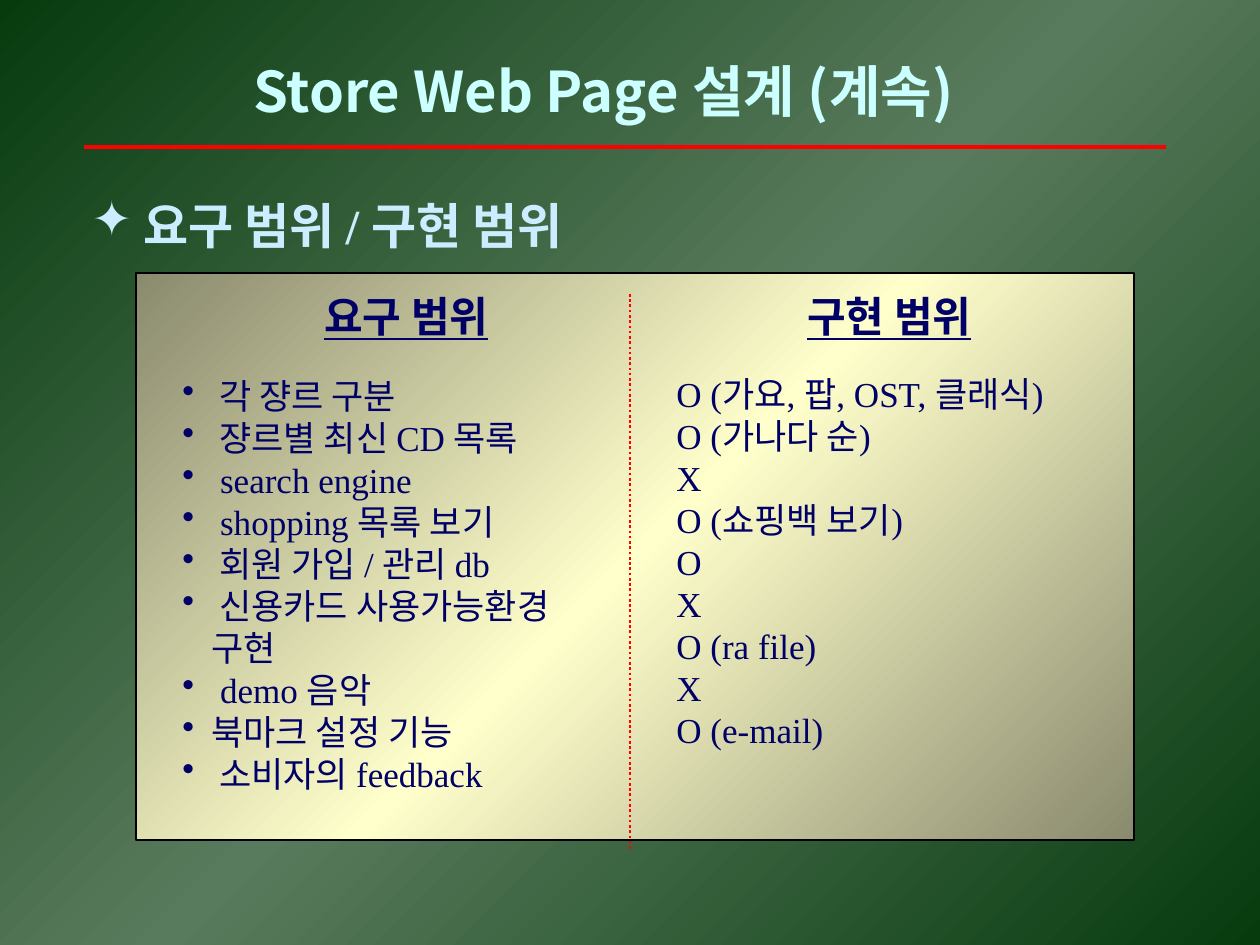
from copy import deepcopy

from lxml import etree
from pptx import Presentation
from pptx.dml.color import RGBColor
from pptx.enum.dml import MSO_LINE
from pptx.enum.shapes import MSO_CONNECTOR, MSO_SHAPE
from pptx.enum.text import MSO_ANCHOR
from pptx.oxml.ns import qn
from pptx.util import Inches, Pt

STRAIGHT = MSO_CONNECTOR.STRAIGHT
RECTANGLE = MSO_SHAPE.RECTANGLE
DOTTED = MSO_LINE.ROUND_DOT
TOP, MIDDLE = MSO_ANCHOR.TOP, MSO_ANCHOR.MIDDLE
PX = Inches(1) / 126

THEME = {
    "latin": "Times New Roman",
    "korean": "Noto Sans CJK KR",
    "background": ("073B0E", "597B5D", "073B0E"),
    "panel": ("8A8A6E", "FFFFCC", "8A8A6E"),
    "outline": "000000",
    "rule": "FF0000",
    "title": {"size": 32, "color": "CCFFFF", "bold": True, "name": "Noto Sans CJK KR"},
    "section": {"size": 28, "color": "CCECFF", "bold": True},
    "heading": {"size": 24, "color": "000066", "bold": True, "underline": True},
    "body": {"size": 20, "color": "000066"},
}


def fill_gradient(fill, element, colors):
    fill.gradient()
    fill.gradient_angle = 135
    stop_list = next(element.iter(qn("a:gsLst")))
    stop_list.insert(1, deepcopy(stop_list[0]))
    for stop, color, position in zip(fill.gradient_stops, colors, (0, 0.5, 1)):
        stop.color.rgb = RGBColor.from_string(color)
        stop.position = position


def add_text(box, lines, style, bullet=None, hanging=0, wrap=True, anchor=TOP, pitch=None):
    shape = slide.shapes.add_textbox(*(int(value * PX) for value in box))
    frame = shape.text_frame
    frame.word_wrap = wrap
    frame.vertical_anchor = anchor
    values = {"name": THEME["latin"], **THEME[style]}
    values["size"] = Pt(values["size"])
    color = values.pop("color")
    for index, line in enumerate(lines):
        paragraph = frame.paragraphs[0] if index == 0 else frame.add_paragraph()
        if pitch:
            paragraph.line_spacing = Pt(pitch)
        if bullet:
            properties = paragraph._p.get_or_add_pPr()
            properties.set("marL", str(int(hanging * PX)))
            properties.set("indent", str(-int(hanging * PX)))
            bullet_color = etree.SubElement(properties, qn("a:buClr"))
            etree.SubElement(bullet_color, qn("a:srgbClr"), val=color)
            etree.SubElement(properties, qn("a:buChar"), char=bullet)
        run = paragraph.add_run()
        run.text = line
        for name, value in values.items():
            setattr(run.font, name, value)
        run.font.color.rgb = RGBColor.from_string(color)
        etree.SubElement(run._r.get_or_add_rPr(), qn("a:ea"), typeface=THEME["korean"])


presentation = Presentation()
presentation.slide_width = int(1260 * PX)
presentation.slide_height = int(945 * PX)
slide = presentation.slides.add_slide(presentation.slide_layouts[6])
fill_gradient(slide.background.fill, slide.element, THEME["background"])

panel = slide.shapes.add_shape(RECTANGLE, *(int(value * PX) for value in (136, 273, 998, 567)))
panel.shadow.inherit = False
fill_gradient(panel.fill, panel.element, THEME["panel"])
panel.line.color.rgb = RGBColor.from_string(THEME["outline"])
panel.line.width = Pt(0.75)

for ends, width, dash in (
    ((84, 147, 1166, 147), 2.25, None),
    ((630, 294, 630, 850), 1.5, DOTTED),
):
    rule = slide.shapes.add_connector(STRAIGHT, *(int(value * PX) for value in ends))
    rule.line.color.rgb = RGBColor.from_string(THEME["rule"])
    rule.line.width = Pt(width)
    rule.line.dash_style = dash
    etree.SubElement(rule.element.spPr, qn("a:effectLst"))

add_text((241, 50, 810, 81), ["Store Web Page 설계 (계속)"], "title", anchor=MIDDLE)
add_text((79, 189, 530, 72), [" 요구 범위 / 구현 범위"], "section", bullet="✦", anchor=MIDDLE)

for left, heading in ((312, "요구 범위"), (795, "구현 범위")):
    add_text((left, 284, 189, 63), [heading], "heading", wrap=False, anchor=MIDDLE)

requirements = [
    " 각 쟝르 구분",
    " 쟝르별 최신 CD 목록",
    " search engine",
    " shopping 목록 보기",
    " 회원 가입 / 관리 db",
    " 신용카드 사용가능환경 구현",
    " demo 음악",
    "북마크 설정 기능",
    " 소비자의 feedback",
]
results = [
    "O (가요, 팝, OST, 클래식)",
    "O (가나다 순)",
    "X",
    "O (쇼핑백 보기)",
    "O",
    "X",
    "O (ra file)",
    "X",
    "O (e-mail)",
]
add_text((170, 368, 454, 391), requirements, "body", bullet="•", hanging=29, pitch=24)
add_text((664, 366, 445, 433), results, "body", pitch=24)

presentation.save("out.pptx")
